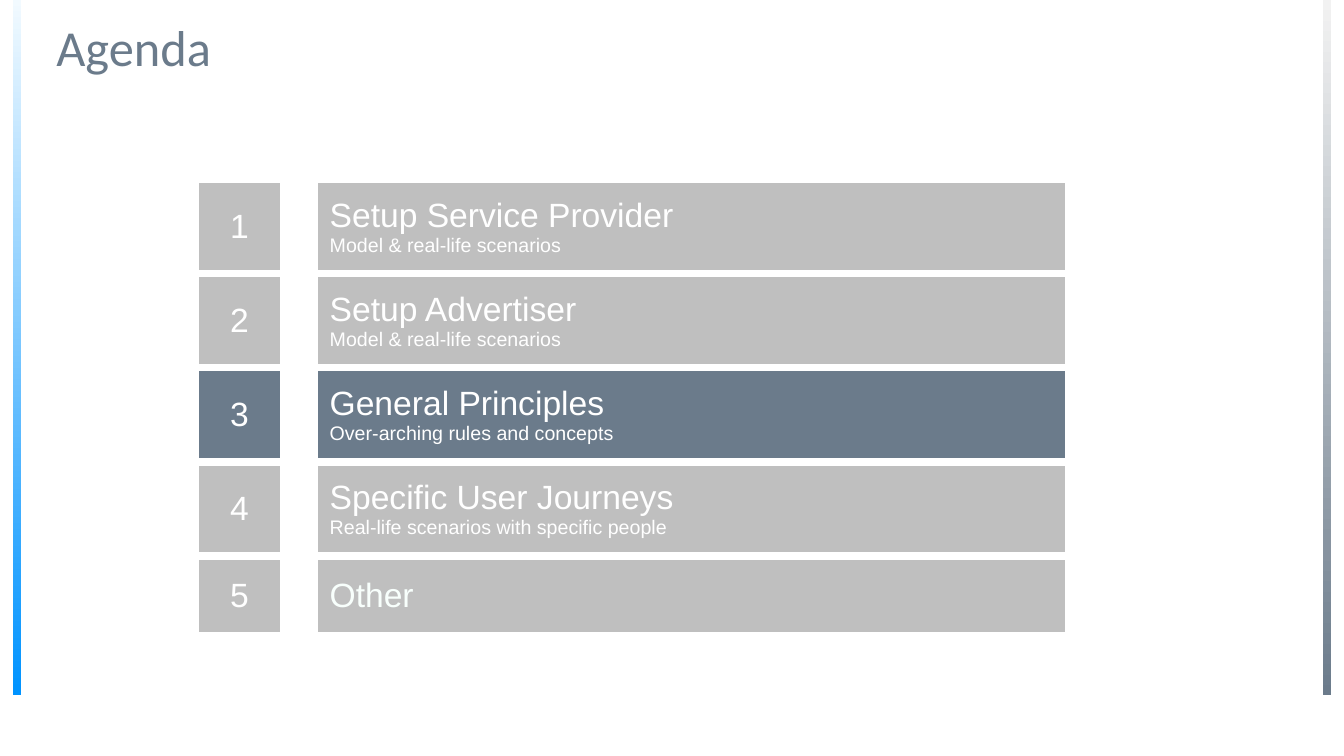
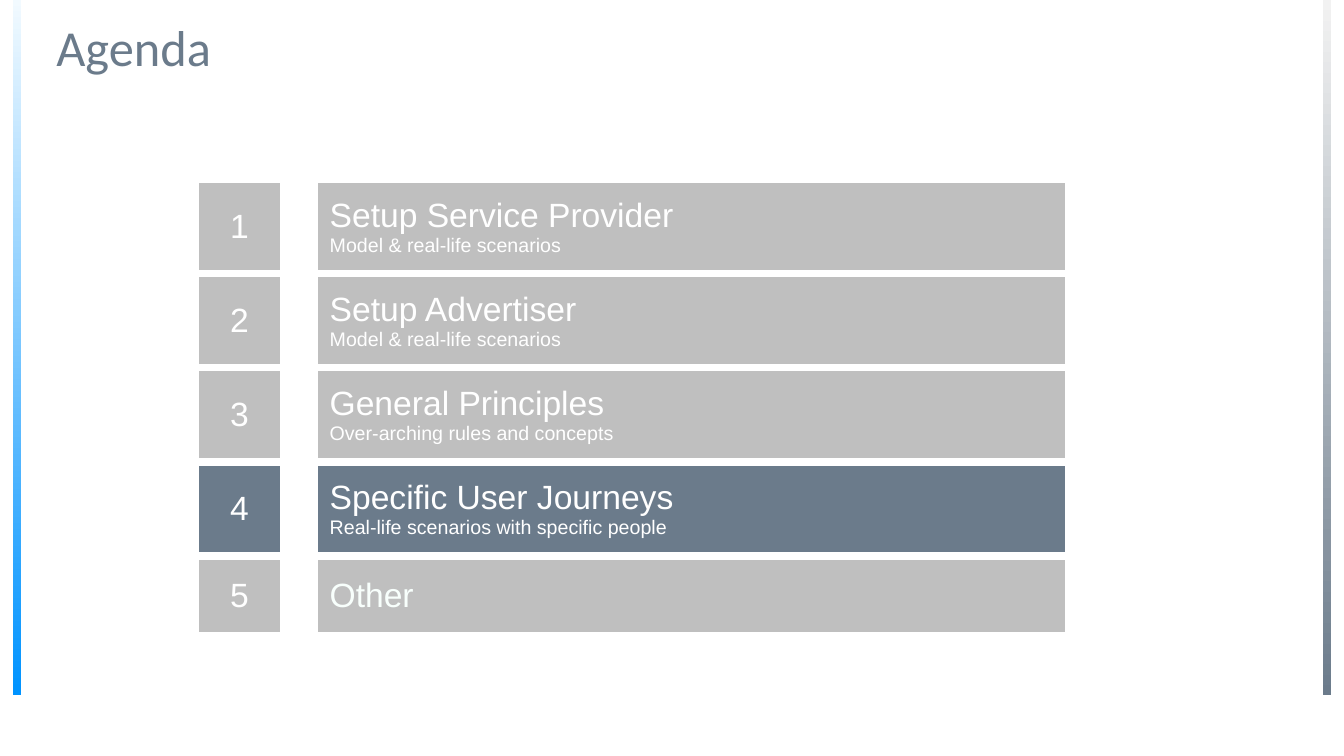
from pptx import Presentation
from pptx import util as u
from pptx.dml.color import RGBColor
from pptx.enum import shapes, text
from pptx.oxml import parse_xml
from pptx.oxml.ns import nsdecls

SLATE, GREY, WHITE, MINT = "6B7B8B", "BFBFBF", "FFFFFF", "F8FFFC"
BARS = [(0.13, "F2FAFF", "0093FF"), (13.12, "F2F2F2", SLATE)]
TOPICS = [
    ("Setup Service Provider", "Model & real-life scenarios"),
    ("Setup Advertiser", "Model & real-life scenarios"),
    ("General Principles", "Over-arching rules and concepts"),
    ("Specific User Journeys", "Real-life scenarios with specific people"),
    ("Other",),
]
COLS = [0.87, 0.31, 7.48]
TALL, SHORT = 0.89, 0.79


def color(code):
    return RGBColor.from_string(code)


class Deck:
    def __init__(self):
        self.prs = Presentation()
        self.prs.slide_width = u.Inches(13.33)
        self.prs.slide_height = u.Inches(7.5)

    def start(self, title):
        self.slide = self.prs.slides.add_slide(self.prs.slide_layouts[6])
        for left, top, base in BARS:
            self.bar(left, top, base)
        self.title(title)

    def bar(self, left, top, base):
        bar = self.slide.shapes.add_shape(
            shapes.MSO_SHAPE.RECTANGLE,
            u.Inches(left), 0, u.Inches(0.08), u.Inches(6.9))
        bar.shadow.inherit = False
        bar.line.fill.background()
        bar.fill.gradient()
        bar.fill.gradient_angle = 270
        for stop, code in zip(bar.fill.gradient_stops, (top, base)):
            stop.color.rgb = color(code)

    def style(self, run, size, font, code):
        run.font.size = u.Pt(size)
        run.font.name = font
        run.font.color.rgb = color(code)

    def title(self, words):
        box = self.slide.shapes.add_textbox(
            u.Inches(0.46), u.Inches(0.18), u.Inches(12.42), u.Inches(0.63))
        frame = box.text_frame
        frame.word_wrap = True
        frame.vertical_anchor = text.MSO_ANCHOR.MIDDLE
        frame.text = words
        para = frame.paragraphs[0]
        para.line_spacing = 0.9
        self.style(para.runs[0], 36, "Calibri", SLATE)

    def border(self, cell):
        props = cell._tc.get_or_add_tcPr()
        for spot, side in enumerate("LRTB"):
            props.insert(spot, parse_xml(
                f'<a:ln{side} {nsdecls("a")} w="{u.Pt(6)}"><a:solidFill>'
                f'<a:srgbClr val="{WHITE}"/></a:solidFill></a:ln{side}>'))

    def cell(self, cell, lines, fill, inset, align, ink=WHITE):
        cell.fill.solid()
        cell.fill.fore_color.rgb = color(fill)
        cell.vertical_anchor = text.MSO_ANCHOR.MIDDLE
        cell.margin_left = cell.margin_right = u.Inches(inset)
        cell.margin_top = cell.margin_bottom = u.Inches(inset)
        para = cell.text_frame.paragraphs[0]
        para.text = "\v".join(lines)
        para.alignment = align
        for run, size in zip(para.runs, (24, 14)):
            self.style(run, size, "Arial", ink)

    def agenda(self, active):
        high = [TALL if len(lines) > 1 else SHORT for lines in TOPICS]
        table = self.slide.shapes.add_table(
            len(TOPICS), len(COLS), u.Inches(1.94), u.Inches(1.78),
            u.Inches(sum(COLS)), u.Inches(sum(high))).table
        table.first_row = table.horz_banding = False
        for col, width in zip(table.columns, COLS):
            col.width = u.Inches(width)
        for num, lines in enumerate(TOPICS, 1):
            row = table.rows[num - 1]
            row.height = u.Inches(high[num - 1])
            mark, gap, topic = row.cells
            fill = SLATE if num == active else GREY
            ink = WHITE if len(lines) > 1 else MINT
            self.cell(mark, [str(num)], fill, 0, text.PP_ALIGN.CENTER)
            gap.fill.background()
            self.cell(topic, lines, fill, 0.15, text.PP_ALIGN.LEFT, ink)
            for cell in (mark, gap, topic):
                self.border(cell)


def main():
    deck = Deck()
    for active in (3, 4):
        deck.start("Agenda")
        deck.agenda(active)
    deck.prs.save("out.pptx")


if __name__ == "__main__":
    main()
